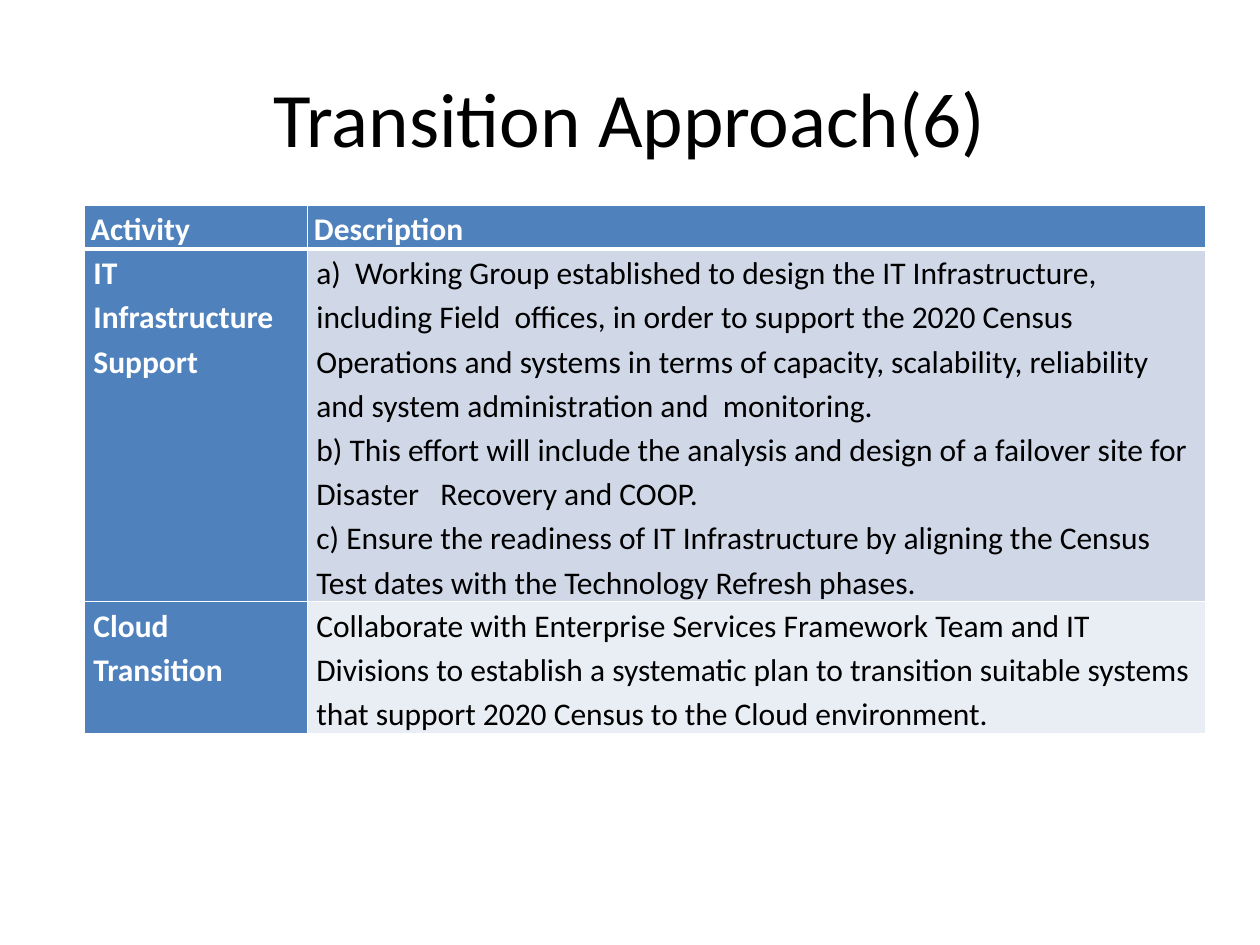
from lxml.etree import SubElement
from pptx import Presentation
from pptx.dml.color import RGBColor
from pptx.enum.text import MSO_ANCHOR, PP_ALIGN
from pptx.oxml.ns import qn
from pptx.util import Pt

BLACK = RGBColor(0x00, 0x00, 0x00)
WHITE = RGBColor(0xFF, 0xFF, 0xFF)
BLUE = RGBColor(0x4F, 0x81, 0xBD)
DARK_BAND = RGBColor(0xD0, 0xD8, 0xE8)
LIGHT_BAND = RGBColor(0xE9, 0xED, 0xF4)

COLUMN_WIDTHS = [127.4, 513.4]
LINE_HEIGHT = 25.2
LINES_PER_ROW = [1, 8, 3]
ROWS = [
    (["Activity"], ["Description"]),
    (
        ["IT\vInfrastructure Support"],
        [
            "a)  Working Group established to design the IT Infrastructure, "
            "including Field  offices, in order to support the 2020 Census "
            "Operations and systems in terms of capacity, scalability, "
            "reliability and system administration and  monitoring.",
            "b) This effort will include the analysis and design of a "
            "failover site for Disaster   Recovery and COOP.",
            "c) Ensure the readiness of IT Infrastructure by aligning the "
            "Census Test dates with the Technology Refresh phases.",
        ],
    ),
    (
        ["Cloud\vTransition"],
        [
            "Collaborate with Enterprise Services Framework Team and IT "
            "Divisions to establish a systematic plan to transition suitable "
            "systems that support 2020 Census to the Cloud environment."
        ],
    ),
]


def set_attributes(target, values):
    for name, value in values.items():
        setattr(target, name, value)


class SlideBuilder:
    font_name = "Calibri"

    def __init__(self, slide):
        self.slide = slide

    def text(self, text_frame, texts, paragraph_format, size, color, bold=False):
        text_frame.text = "\n".join(texts)
        font_format = {"name": self.font_name, "size": Pt(size), "bold": bold}
        for paragraph in text_frame.paragraphs:
            set_attributes(paragraph, paragraph_format)
            for run in paragraph.runs:
                set_attributes(run.font, font_format)
                run.font.color.rgb = color

    def title(self, text, left, top, width, height):
        shape = self.slide.shapes.add_textbox(
            Pt(left), Pt(top), Pt(width), Pt(height)
        )
        set_attributes(
            shape.text_frame,
            {"word_wrap": True, "vertical_anchor": MSO_ANCHOR.MIDDLE},
        )
        self.text(
            shape.text_frame, [text], {"alignment": PP_ALIGN.CENTER}, 44, BLACK
        )

    def borders(self, cell, bottom_width, top_width):
        properties = cell._tc.get_or_add_tcPr()
        widths = {"lnL": 1, "lnR": 1, "lnT": top_width, "lnB": bottom_width}
        for tag, width in widths.items():
            line = SubElement(properties, qn(f"a:{tag}"), w=str(Pt(width)))
            fill = SubElement(line, qn("a:solidFill"))
            SubElement(fill, qn("a:srgbClr"), val=str(WHITE))

    def cell(self, cell, texts, row, column):
        heading = row == 0 or column == 0
        margin = Pt(3.6 if row == 0 else 5.04)
        set_attributes(
            cell,
            {
                "margin_left": margin,
                "margin_right": margin,
                "margin_top": 0,
                "margin_bottom": 0,
            },
        )
        self.borders(cell, 3 if row == 0 else 1, 3 if row == 1 else 1)
        cell.fill.solid()
        band = DARK_BAND if row % 2 else LIGHT_BAND
        cell.fill.fore_color.rgb = BLUE if heading else band
        self.text(
            cell.text_frame,
            texts,
            {"line_spacing": 1.15},
            18,
            WHITE if heading else BLACK,
            heading,
        )

    def table(self, rows, left, top, column_widths, row_heights):
        table = self.slide.shapes.add_table(
            len(rows),
            len(column_widths),
            Pt(left),
            Pt(top),
            Pt(sum(column_widths)),
            Pt(sum(row_heights)),
        ).table
        set_attributes(table, {"first_row": False, "horz_banding": False})
        for column, width in zip(table.columns, column_widths):
            column.width = Pt(width)
        for row, height in zip(table.rows, row_heights):
            row.height = Pt(height)
        for row, row_texts in enumerate(rows):
            for column, texts in enumerate(row_texts):
                self.cell(table.cell(row, column), texts, row, column)


def main():
    presentation = Presentation()
    set_attributes(
        presentation, {"slide_width": Pt(720), "slide_height": Pt(540)}
    )
    slide = presentation.slides.add_slide(presentation.slide_layouts[6])
    builder = SlideBuilder(slide)
    builder.title("Transition Approach(6)", 36, 21.6, 648, 90)
    row_heights = [lines * LINE_HEIGHT for lines in LINES_PER_ROW]
    builder.table(ROWS, 48.4, 117, COLUMN_WIDTHS, row_heights)
    presentation.save("out.pptx")


if __name__ == "__main__":
    main()
